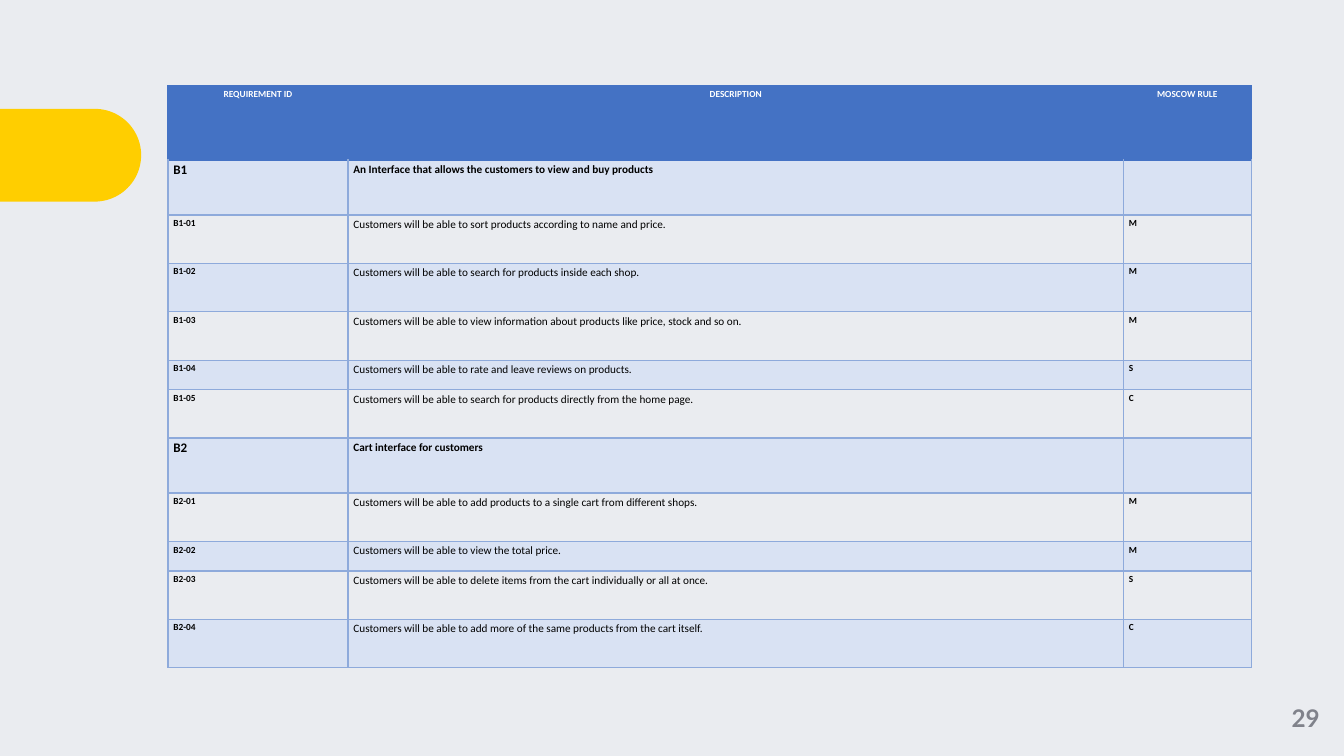
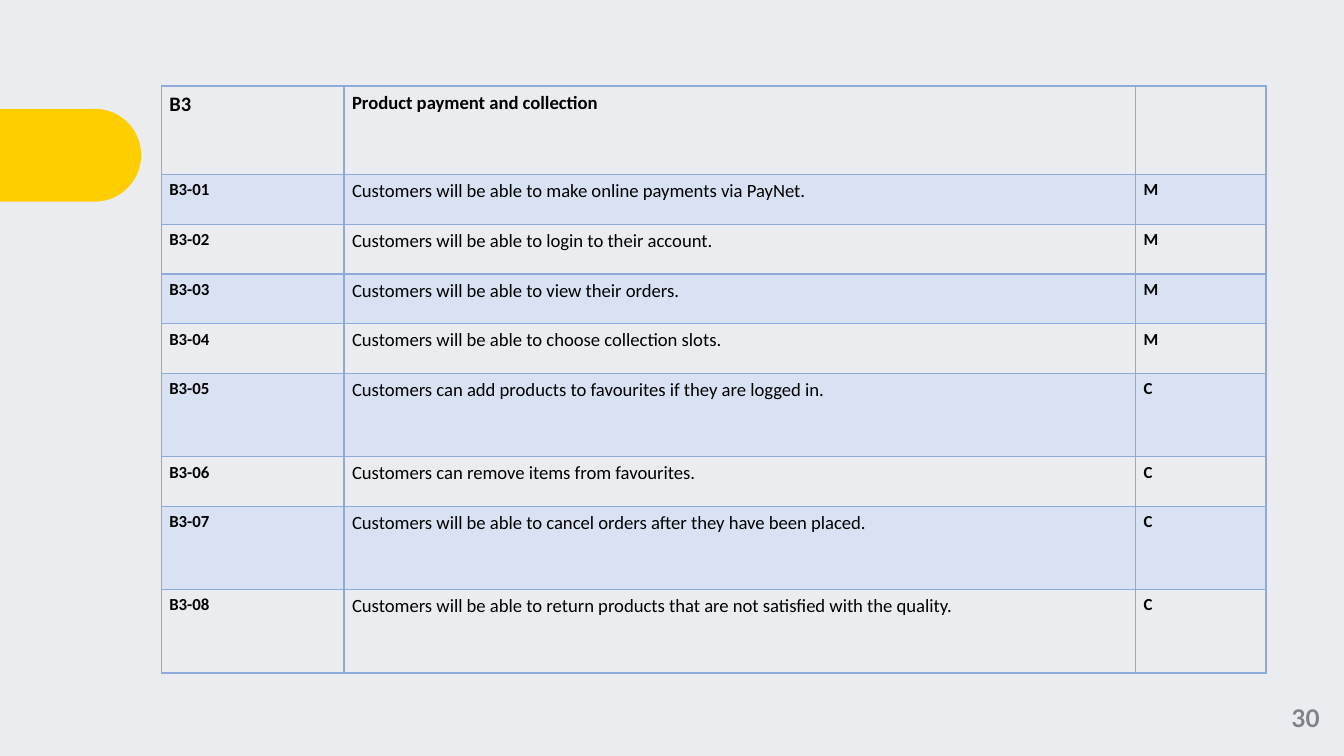
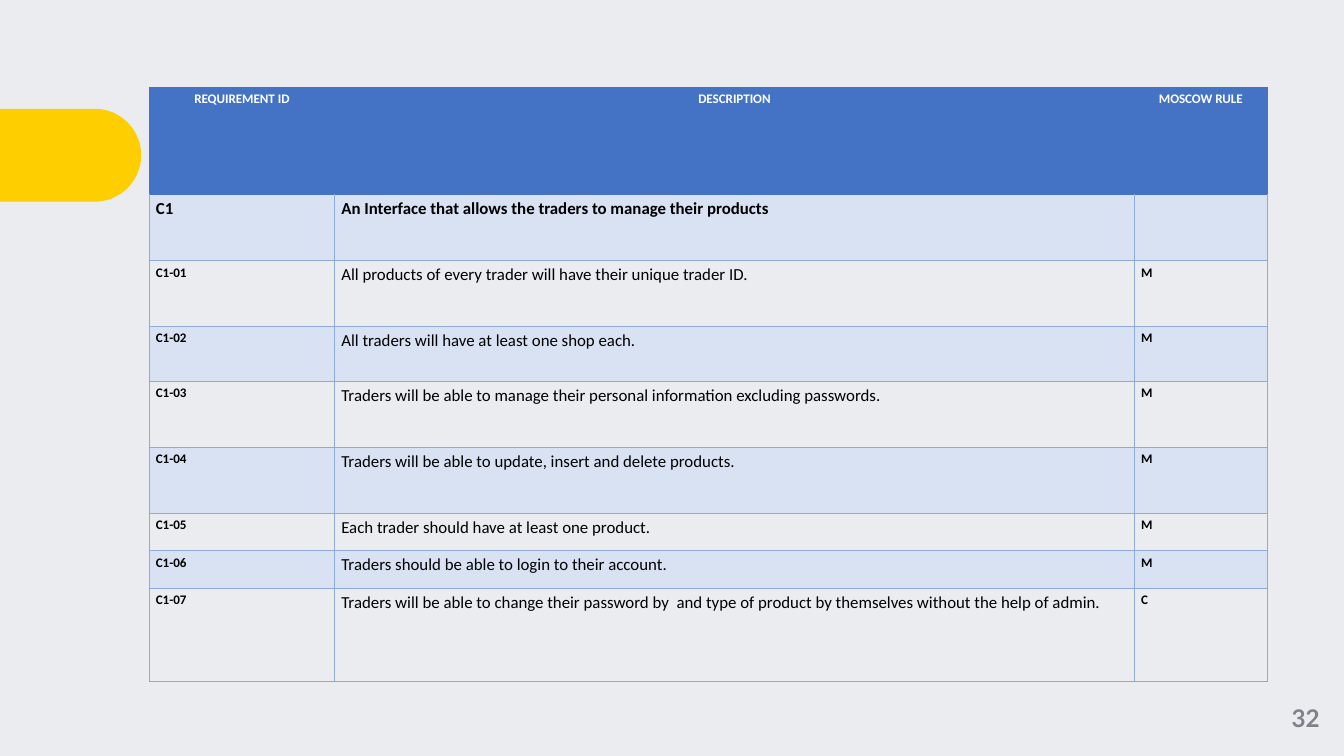
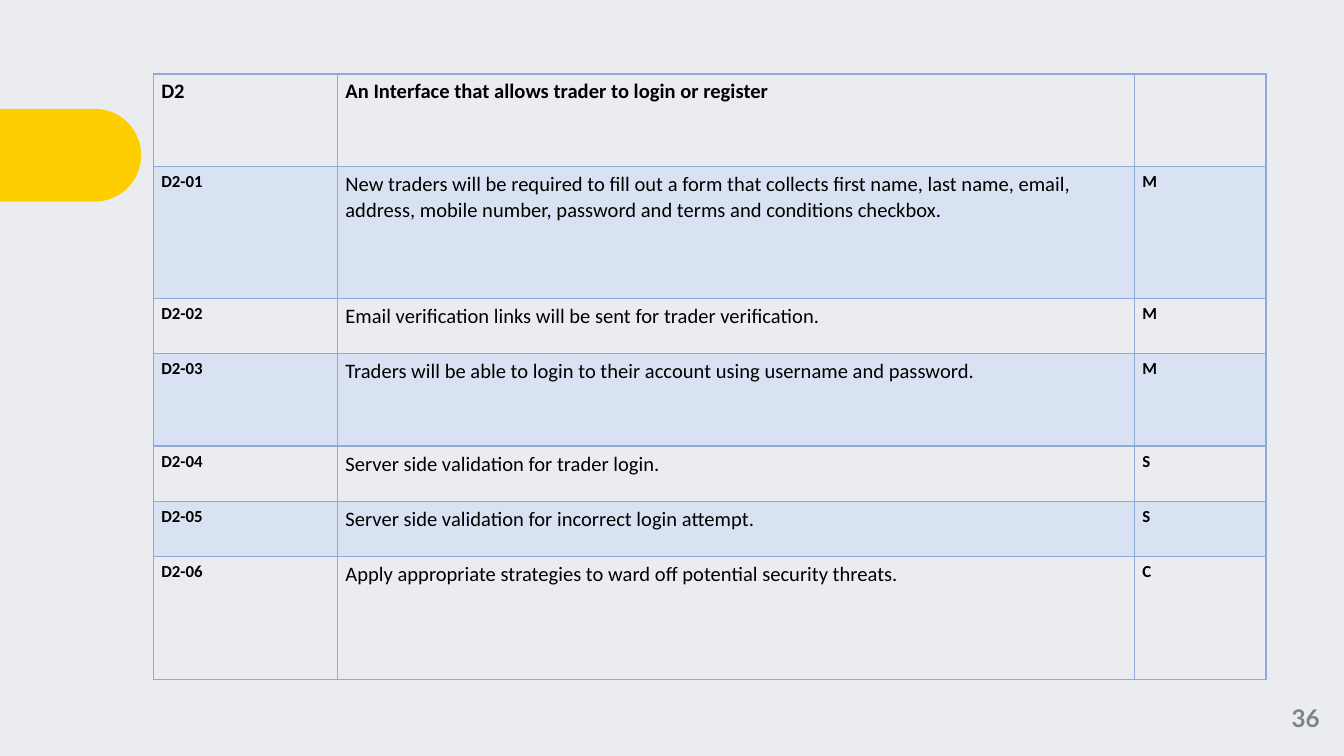
import pptx
import pptx.dml.color
import pptx.enum.shapes
import pptx.enum.text
import pptx.oxml
import pptx.oxml.ns
import pptx.util
from pptx.util import Inches

COLORS = {
    "background": "EAECF0",
    "tab": "FFCE00",
    "page": "80828B",
    "header": "4472C4",
    "header_text": "FFFFFF",
    "band": "D9E2F3",
    "border": "8EAADB",
    "text": "000000",
}
HEADER = ("REQUIREMENT ID", "DESCRIPTION", "MOSCOW RULE")

REQUIREMENTS = [
    {
        "page": 29,
        "at": (1.25, 0.64),
        "columns": (1.34, 5.77, 0.95),
        "margins": (0.04, 0.02),
        "sizes": {"header": (5, 5, 5), "section": (7, 6, 5), "item": (5, 6, 5)},
        "rows": [
            (0.55, *HEADER),
            (0.41, "B1", "An Interface that allows the customers to view and buy products", ""),
            (0.36, "B1-01", "Customers will be able to sort products according to name and price.", "M"),
            (0.36, "B1-02", "Customers will be able to search for products inside each shop.", "M"),
            (0.36, "B1-03", "Customers will be able to view information about products like price, stock and so on.", "M"),
            (0.22, "B1-04", "Customers will be able to rate and leave reviews on products.", "S"),
            (0.36, "B1-05", "Customers will be able to search for products directly from the home page.", "C"),
            (0.41, "B2", "Cart interface for customers", ""),
            (0.36, "B2-01", "Customers will be able to add products to a single cart from different shops.", "M"),
            (0.22, "B2-02", "Customers will be able to view the total price.", "M"),
            (0.36, "B2-03", "Customers will be able to delete items from the cart individually or all at once.", "S"),
            (0.36, "B2-04", "Customers will be able to add more of the same products from the cart itself.", "C"),
        ],
    },
    {
        "page": 30,
        "at": (1.2, 0.64),
        "columns": (1.36, 5.89, 0.97),
        "margins": (0.06, 0.04),
        "sizes": {"section": (11, 10, 9), "item": (9, 10, 9)},
        "rows": [
            (0.66, "B3", "Product payment and collection", ""),
            (0.37, "B3-01", "Customers will be able to make online payments via PayNet.", "M"),
            (0.37, "B3-02", "Customers will be able to login to their account.", "M"),
            (0.37, "B3-03", "Customers will be able to view their orders.", "M"),
            (0.37, "B3-04", "Customers will be able to choose collection slots.", "M"),
            (0.62, "B3-05", "Customers can add products to favourites if they are logged in.", "C"),
            (0.37, "B3-06", "Customers can remove items from favourites.", "C"),
            (0.62, "B3-07", "Customers will be able to cancel orders after they have been placed.", "C"),
            (0.62, "B3-08", "Customers will be able to return products that are not satisfied with the quality.", "C"),
        ],
    },
    {
        "page": 32,
        "at": (1.11, 0.65),
        "columns": (1.38, 5.95, 0.99),
        "margins": (0.05, 0.03),
        "sizes": {"header": (7, 7, 7), "section": (9, 9, 7), "item": (7, 9, 7)},
        "rows": [
            (0.8, *HEADER),
            (0.49, "C1", "An Interface that allows the traders to manage their products", ""),
            (0.49, "C1-01", "All products of every trader will have their unique trader ID.", "M"),
            (0.41, "C1-02", "All traders will have at least one shop each.", "M"),
            (0.49, "C1-03", "Traders will be able to manage their personal information excluding passwords.", "M"),
            (0.49, "C1-04", "Traders will be able to update, insert and delete products.", "M"),
            (0.28, "C1-05", "Each trader should have at least one product.", "M"),
            (0.28, "C1-06", "Traders should be able to login to their account.", "M"),
            (0.69, "C1-07", "Traders will be able to change their password by  and type of product by themselves without the help of admin.", "C"),
        ],
    },
    {
        "page": 36,
        "at": (1.14, 0.55),
        "columns": (1.37, 5.93, 0.98),
        "margins": (0.06, 0.04),
        "sizes": {"section": (11, 11, 9), "item": (9, 11, 9)},
        "rows": [
            (0.69, "D2", "An Interface that allows trader to login or register", ""),
            (0.98, "D2-01", "New traders will be required to fill out a form that collects first name, last name, email, address, mobile number, password and terms and conditions checkbox.", "M"),
            (0.41, "D2-02", "Email verification links will be sent for trader verification.", "M"),
            (0.69, "D2-03", "Traders will be able to login to their account using username and password.", "M"),
            (0.41, "D2-04", "Server side validation for trader login.", "S"),
            (0.41, "D2-05", "Server side validation for incorrect login attempt.", "S"),
            (0.92, "D2-06", "Apply appropriate strategies to ward off potential security threats.", "C"),
        ],
    },
]


def rgb(name):
    return pptx.dml.color.RGBColor.from_string(COLORS[name])


def row_kind(label):
    if label == HEADER[0]:
        return "header"
    return "item" if "-" in label else "section"


class Deck:
    def __init__(self):
        self.presentation = pptx.Presentation()
        self.presentation.slide_width = Inches(10)
        self.presentation.slide_height = Inches(10) * 9 // 16
        self.slide = None

    def new_slide(self, page):
        self.slide = self.presentation.slides.add_slide(self.presentation.slide_layouts[6])
        backdrop = self.slide.background.fill
        backdrop.solid()
        backdrop.fore_color.rgb = rgb("background")
        self.side_tab()
        self.page_number(page)

    def side_tab(self):
        tab = self.slide.shapes.add_shape(
            pptx.enum.shapes.MSO_SHAPE.ROUND_2_SAME_RECTANGLE,
            Inches(0.18), Inches(0.63), Inches(0.69), Inches(1.05))
        tab.rotation = 90
        tab.adjustments[0] = 0.5
        tab.adjustments[1] = 0
        tab.shadow.inherit = False
        tab.fill.solid()
        tab.fill.fore_color.rgb = rgb("tab")
        tab.line.fill.background()

    def page_number(self, page):
        frame = self.slide.shapes.add_textbox(
            Inches(9.43), Inches(5.06), Inches(0.57), Inches(0.56)).text_frame
        frame.word_wrap = True
        frame.vertical_anchor = pptx.enum.text.MSO_ANCHOR.MIDDLE
        frame.margin_left = frame.margin_right = frame.margin_top = frame.margin_bottom = 0
        frame.text = str(page)
        self.style(frame.paragraphs[0], "Lato", 13, "page", True, centred=True)

    def style(self, paragraph, font, size, color, bold, centred=False):
        if centred:
            paragraph.alignment = pptx.enum.text.PP_ALIGN.CENTER
        for run in paragraph.runs:
            run.font.name = font
            run.font.size = pptx.util.Pt(size)
            run.font.bold = bold
            run.font.color.rgb = rgb(color)

    def borders(self, cell, color, top_color):
        properties = cell._tc.get_or_add_tcPr()
        for side in "LRTB":
            shade = COLORS[top_color if side == "T" else color]
            properties.append(pptx.oxml.parse_xml(
                f'<a:ln{side} {pptx.oxml.ns.nsdecls("a")} w="9525"><a:solidFill>'
                f'<a:srgbClr val="{shade}"/></a:solidFill></a:ln{side}>'))

    def cell(self, cell, text, kind, size, bold, fill, margins, top_color):
        header = kind == "header"
        cell.margin_left = cell.margin_right = Inches(margins[0])
        cell.margin_top = cell.margin_bottom = Inches(margins[1])
        self.borders(cell, "header" if header else "border", top_color)
        if fill:
            cell.fill.solid()
            cell.fill.fore_color.rgb = rgb(fill)
        else:
            cell.fill.background()
        if text:
            cell.text_frame.text = text
            self.style(cell.text_frame.paragraphs[0], "Calibri", size,
                       "header_text" if header else "text", bold, centred=header)

    def requirement_table(self, at, columns, margins, sizes, rows):
        left, top = at
        table = self.slide.shapes.add_table(
            len(rows), len(columns), Inches(left), Inches(top),
            Inches(sum(columns)), Inches(sum(row[0] for row in rows))).table
        table.first_row = False
        table.horz_banding = False
        for column, width in zip(table.columns, columns):
            column.width = Inches(width)
        top_color = "border"
        for index, (height, *texts) in enumerate(rows):
            table.rows[index].height = Inches(height)
            kind = row_kind(texts[0])
            if kind == "header":
                fill = top_color = "header"
            else:
                fill = "band" if index % 2 else None
            for column, text in enumerate(texts):
                bold = kind != "item" or column != 1
                self.cell(table.cell(index, column), text, kind, sizes[kind][column],
                          bold, fill, margins, top_color)
            top_color = "header" if kind == "header" else "border"


def main():
    deck = Deck()
    for requirement in REQUIREMENTS:
        deck.new_slide(requirement["page"])
        deck.requirement_table(*(requirement[part] for part in
                                 ("at", "columns", "margins", "sizes", "rows")))
    deck.presentation.save("out.pptx")


if __name__ == "__main__":
    main()
